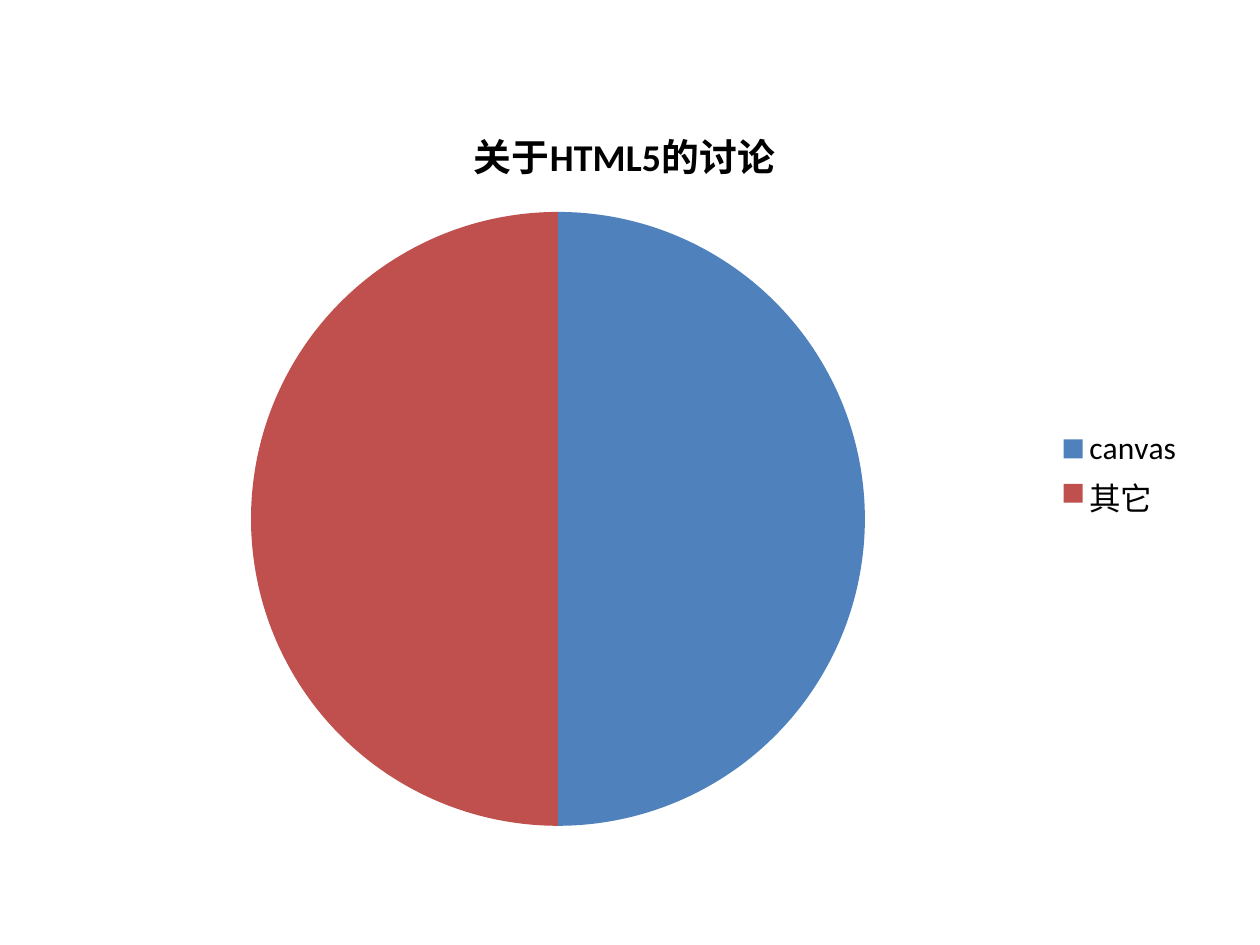
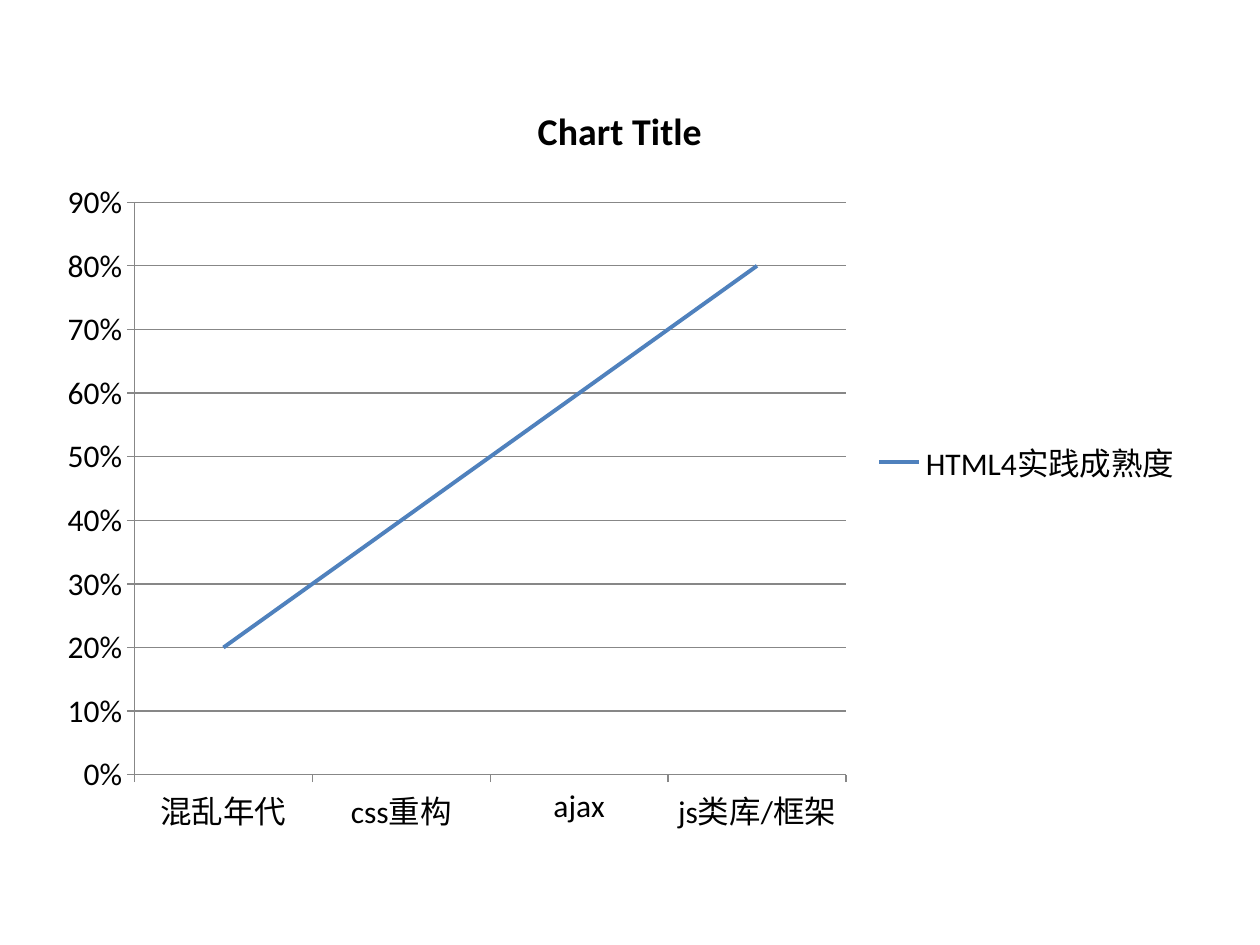
from lxml import etree
from pptx import Presentation
from pptx.chart.data import CategoryChartData
from pptx.dml.color import RGBColor
from pptx.enum import chart as charts
from pptx.oxml.ns import qn
from pptx.util import Inches, Pt

FONT = "Calibri"
TEXT_SIZE, TITLE_SIZE = 18, 21.6
BLACK, BLUE, RED, GREEN, GREY = "000000", "4F81BD", "C0504D", "9BBB59", "878787"
BLANK_LAYOUT = 6

# Left, top, width and height in percent of the slide
PIE_FRAME = (5, 11.2, 90, 78.13)
PIE_PLOT = (19.92, 22.43, 48.73, 64.97)
PIE_TITLE = (37.06, 12.17)
LINE_FRAME = (3.54, 8, 91.34, 81.8)


def color(hex_value):
    return RGBColor.from_string(hex_value)


def style_font(font, size, bold=False):
    font.name = FONT
    font.size = Pt(size)
    font.bold = bold
    font.color.rgb = color(BLACK)


def add_chart_slide(presentation, kind, box, title, categories, series,
                    number_format="General"):
    """Add a slide with one titled chart; series maps names to values."""
    slide = presentation.slides.add_slide(presentation.slide_layouts[BLANK_LAYOUT])
    data = CategoryChartData(number_format=number_format)
    data.categories = categories
    for name, values in series.items():
        data.add_series(name, values)
    sides = (presentation.slide_width, presentation.slide_height) * 2
    place = [int(share * side / 100) for share, side in zip(box, sides)]
    chart = slide.shapes.add_chart(kind, *place, data).chart
    style_font(chart.font, TEXT_SIZE)

    chart.has_title = True
    run = chart.chart_title.text_frame.paragraphs[0].add_run()
    run.text = title
    style_font(run.font, TITLE_SIZE, bold=True)
    chart.chart_title.include_in_layout = False

    chart.has_legend = True
    chart.legend.position = charts.XL_LEGEND_POSITION.RIGHT
    chart.legend.include_in_layout = False
    return chart


def add_value(parent, tag, value):
    etree.SubElement(parent, qn(tag)).set("val", str(value))


def set_layout(element, index, box, frame):
    """Fix a chart part at a box of slide percents, inside the chart's frame."""
    for old in element.findall(qn("c:layout")):
        element.remove(old)
    layout = etree.Element(qn("c:layout"))
    element.insert(index, layout)
    manual = etree.SubElement(layout, qn("c:manualLayout"))
    if len(box) == 4:
        add_value(manual, "c:layoutTarget", "inner")
    add_value(manual, "c:xMode", "edge")
    add_value(manual, "c:yMode", "edge")
    left, top, width, height = frame
    origins, sizes = (left, top, 0, 0), (width, height) * 2
    for tag, value, origin, size in zip("xywh", box, origins, sizes):
        add_value(manual, f"c:{tag}", (value - origin) / size)


def keep_first_legend_entry(chart):
    position = chart.legend._element.find(qn("c:legendPos"))
    for index in reversed(range(1, len(chart.plots[0].series))):
        entry = etree.Element(qn("c:legendEntry"))
        add_value(entry, "c:idx", index)
        add_value(entry, "c:delete", 1)
        position.addnext(entry)


def color_slices(chart, colors):
    plot = chart.plots[0]
    plot.vary_by_categories = True
    for index, slice_color in enumerate(colors):
        fill = plot.series[0].points[index].format.fill
        fill.solid()
        fill.fore_color.rgb = color(slice_color)


def style_line(line, hex_value, width):
    line.color.rgb = color(hex_value)
    line.width = Pt(width)


def style_series_lines(chart, colors):
    plot = chart.plots[0]
    plot.vary_by_categories = False
    for series, line_color in zip(plot.series, colors):
        series.smooth = False
        series.marker.style = charts.XL_MARKER_STYLE.NONE
        style_line(series.format.line, line_color, 2.25)


def style_axes(chart):
    for axis in (chart.category_axis, chart.value_axis):
        axis.major_tick_mark = charts.XL_TICK_MARK.OUTSIDE
        axis.minor_tick_mark = charts.XL_TICK_MARK.NONE
        style_line(axis.format.line, GREY, 0.75)
    percent = chart.value_axis
    percent.minimum_scale, percent.maximum_scale = 0, 0.9
    percent.major_unit = 0.1
    percent.has_major_gridlines = True
    style_line(percent.major_gridlines.format.line, GREY, 0.75)
    percent.tick_labels.number_format = "0%"
    percent.tick_labels.number_format_is_linked = False


def main():
    presentation = Presentation()
    presentation.slide_width, presentation.slide_height = Inches(10), Inches(7.5)

    topics = add_chart_slide(
        presentation, charts.XL_CHART_TYPE.PIE, PIE_FRAME,
        "关于HTML5的讨论", ["canvas", "其它"], {"Series 1": [50, 50]})
    color_slices(topics, [BLUE, RED])
    set_layout(topics.chart_title._element, 1, PIE_TITLE, PIE_FRAME)
    set_layout(topics._chartSpace.chart.plotArea, 0, PIE_PLOT, PIE_FRAME)

    maturity = add_chart_slide(
        presentation, charts.XL_CHART_TYPE.LINE, LINE_FRAME,
        "Chart Title", ["混乱年代", "css重构", "ajax", "js类库/框架"],
        {"HTML4实践成熟度": [0.2, 0.4, 0.6, 0.8], "系列 2": [], "系列 3": []}, "0%")
    style_series_lines(maturity, [BLUE, RED, GREEN])
    keep_first_legend_entry(maturity)
    style_axes(maturity)

    presentation.save("out.pptx")


if __name__ == "__main__":
    main()
